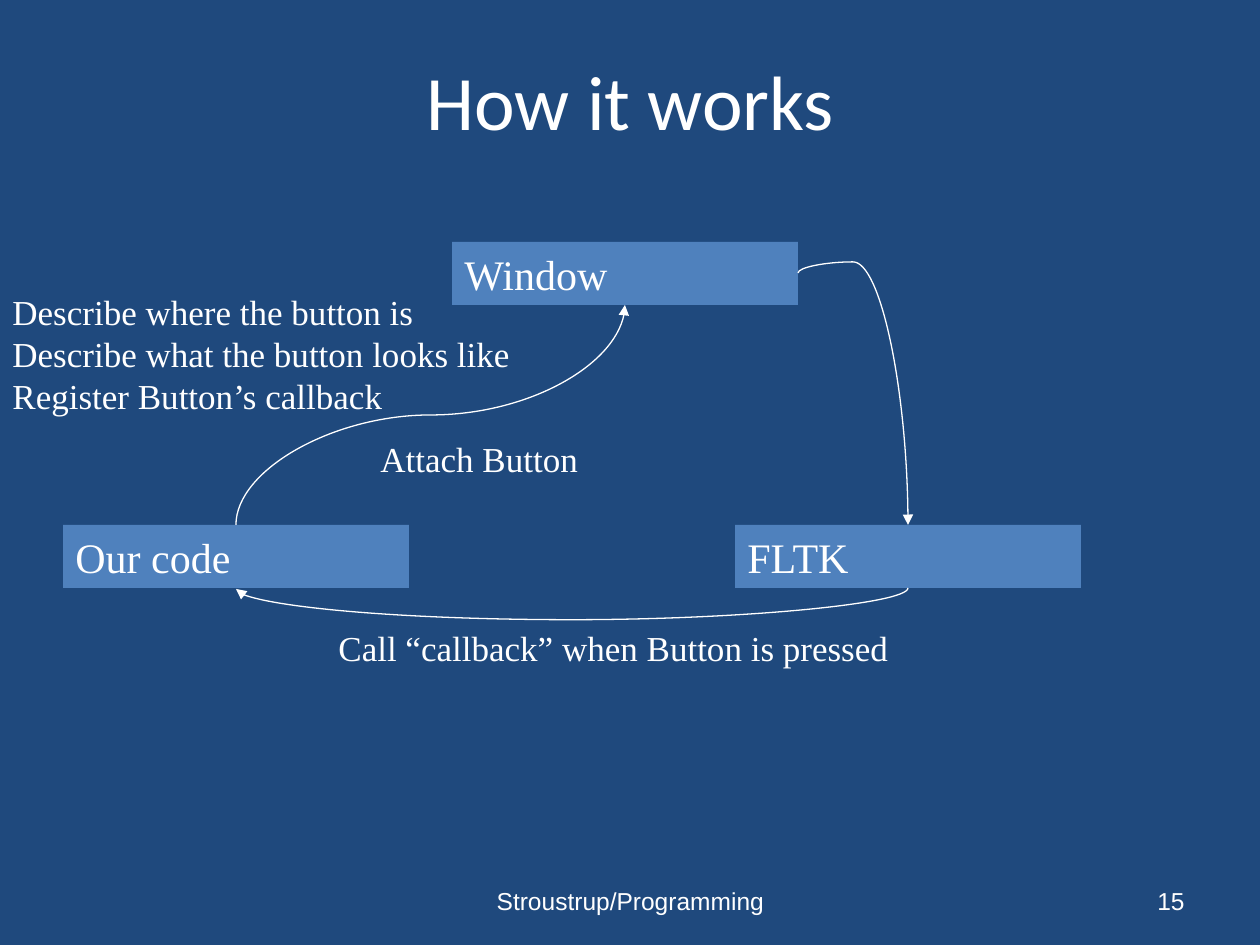
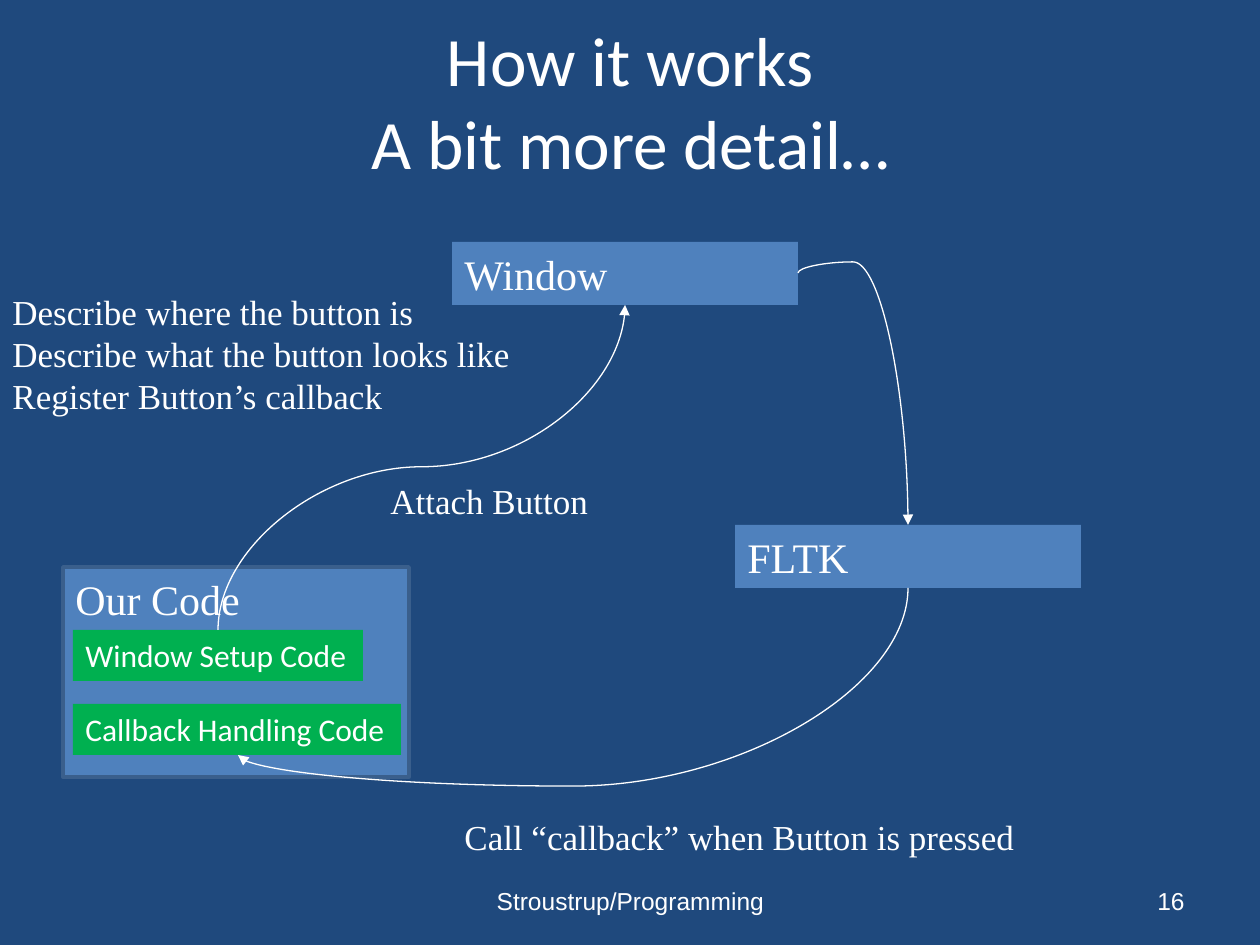
from pptx import Presentation
from pptx.dml.color import RGBColor
from pptx.enum.shapes import MSO_CONNECTOR, MSO_SHAPE
from pptx.enum.text import MSO_ANCHOR, PP_ALIGN
from pptx.oxml.ns import qn
from pptx.util import Emu, Pt
from lxml import etree

CURVE = MSO_CONNECTOR.CURVE
RECTANGLE = MSO_SHAPE.RECTANGLE
TOP, MIDDLE = MSO_ANCHOR.TOP, MSO_ANCHOR.MIDDLE
LEFT, CENTER, RIGHT = PP_ALIGN.LEFT, PP_ALIGN.CENTER, PP_ALIGN.RIGHT

EMU_PER_PIXEL = 914400 / 126
PAGE_WIDTH, PAGE_HEIGHT = 1260, 945
NAVY, BLUE, EDGE = "1F497D", "4F81BD", "3A5F8C"
GREEN, WHITE = "00B050", "FFFFFF"
SANS, SERIF, FOOTER_FONT = "Calibri", "Times New Roman", "Arial"
NODE_WIDTH, NODE_HEIGHT = 346, 63
DESCRIPTION = ("Describe where the button is\n"
               "Describe what the button looks like\n"
               "Register Button’s callback ")


def px(length):
    return Emu(round(length * EMU_PER_PIXEL))


def color(value):
    return RGBColor.from_string(value)


def write(shape, text, font=SERIF, size=20, align=LEFT, anchor=TOP, wrap=True):
    frame = shape.text_frame
    frame.word_wrap = wrap
    frame.vertical_anchor = anchor
    para = frame.paragraphs[0]
    para.text = text
    para.alignment = align
    for span in para.runs:
        span.font.name = font
        span.font.size = Pt(size)
        span.font.color.rgb = color(WHITE)


def add_text(page, box, text, **style):
    write(page.shapes.add_textbox(*map(px, box)), text, **style)


def add_block(shapes, box, text, fill=BLUE, edge=None, **style):
    block = shapes.add_shape(RECTANGLE, *map(px, box))
    block.shadow.inherit = False
    block.fill.solid()
    block.fill.fore_color.rgb = color(fill)
    if edge:
        block.line.color.rgb = color(edge)
        block.line.width = Pt(2)
    else:
        block.line.fill.background()
    write(block, text, **style)


def add_curve(page, start, end, bend):
    (x1, y1), (x2, y2) = start, end
    run, rise = abs(x2 - x1), abs(y2 - y1)
    curve = page.shapes.add_connector(CURVE, 0, 0, 0, 0)
    curve.left = px((x1 + x2 - rise) / 2)
    curve.top = px((y1 + y2 - run) / 2)
    curve.width, curve.height = px(rise), px(run)
    curve.line.color.rgb = color(WHITE)
    curve.line.width = Pt(0.75)

    properties = curve._element.spPr
    frame = properties.find(qn("a:xfrm"))
    frame.set("rot", str(90 * 60000))
    frame.set("flipH", str(int(y2 < y1)))
    frame.set("flipV", str(int(x2 > x1)))
    adjustment = round((bend - y1) / (y2 - y1) * 100000)
    guides = properties.find(qn("a:prstGeom")).get_or_add_avLst()
    etree.SubElement(guides, qn("a:gd"), name="adj1", fmla=f"val {adjustment}")
    etree.SubElement(properties.find(qn("a:ln")), qn("a:tailEnd"), type="triangle")
    etree.SubElement(properties, qn("a:effectLst"))


def add_node(page, left, top, text):
    add_block(page.shapes, (left, top, NODE_WIDTH, NODE_HEIGHT), text, size=24)


def add_code_group(page, left, top):
    shapes = page.shapes.add_group_shape().shapes
    add_block(shapes, (left, top, NODE_WIDTH, 210), "Our Code", edge=EDGE, size=24)
    parts = (("Window Setup Code", 290), ("Callback Handling Code", 328))
    for index, (text, width) in enumerate(parts):
        box = (left + 10, top + 63 + 74 * index, width, 51)
        add_block(shapes, box, text, fill=GREEN, font=SANS, size=18, wrap=False)


def add_cycle(page, setup, callback, attach_bend, callback_bend, attach_at, pressed_at):
    add_node(page, 452, 242, "Window")
    add_node(page, 735, 525, "FLTK")
    add_curve(page, setup, (625, 305), attach_bend)
    add_curve(page, (798, 273), (908, 525), 262)
    add_curve(page, (908, 588), callback, callback_bend)
    add_text(page, (*attach_at, 262, 54), "Attach Button ")
    add_text(page, (0, 284, 525, 139), DESCRIPTION)
    add_text(page, (*pressed_at, 599, 54), "Call “callback” when Button is pressed")


def add_page(deck, title, number, title_size):
    page = deck.slides.add_slide(deck.slide_layouts[6])
    page.background.fill.solid()
    page.background.fill.fore_color.rgb = color(NAVY)
    add_text(page, (95, 21, 1071, 158), title, font=SANS, size=title_size,
             align=CENTER, anchor=MIDDLE)
    footer = {"font": FOOTER_FONT, "size": 14, "anchor": MIDDLE}
    add_text(page, (431, 876, 399, 50), "Stroustrup/Programming", align=CENTER, **footer)
    add_text(page, (903, 876, 294, 50), str(number), align=RIGHT, **footer)
    return page


deck = Presentation()
deck.slide_width, deck.slide_height = px(PAGE_WIDTH), px(PAGE_HEIGHT)

overview = add_page(deck, "How it works", 15, 44)
add_node(overview, 63, 525, "Our code")
add_cycle(overview, setup=(236, 525), callback=(236, 589), attach_bend=415,
          callback_bend=620, attach_at=(368, 431), pressed_at=(326, 620))

detail = add_page(deck, "How it works\nA bit more detail…", 16, 39.6)
add_code_group(detail, 63, 567)
add_cycle(detail, setup=(218, 630), callback=(238, 755), attach_bend=467,
          callback_bend=786, attach_at=(378, 473), pressed_at=(452, 809))

deck.save("out.pptx")
